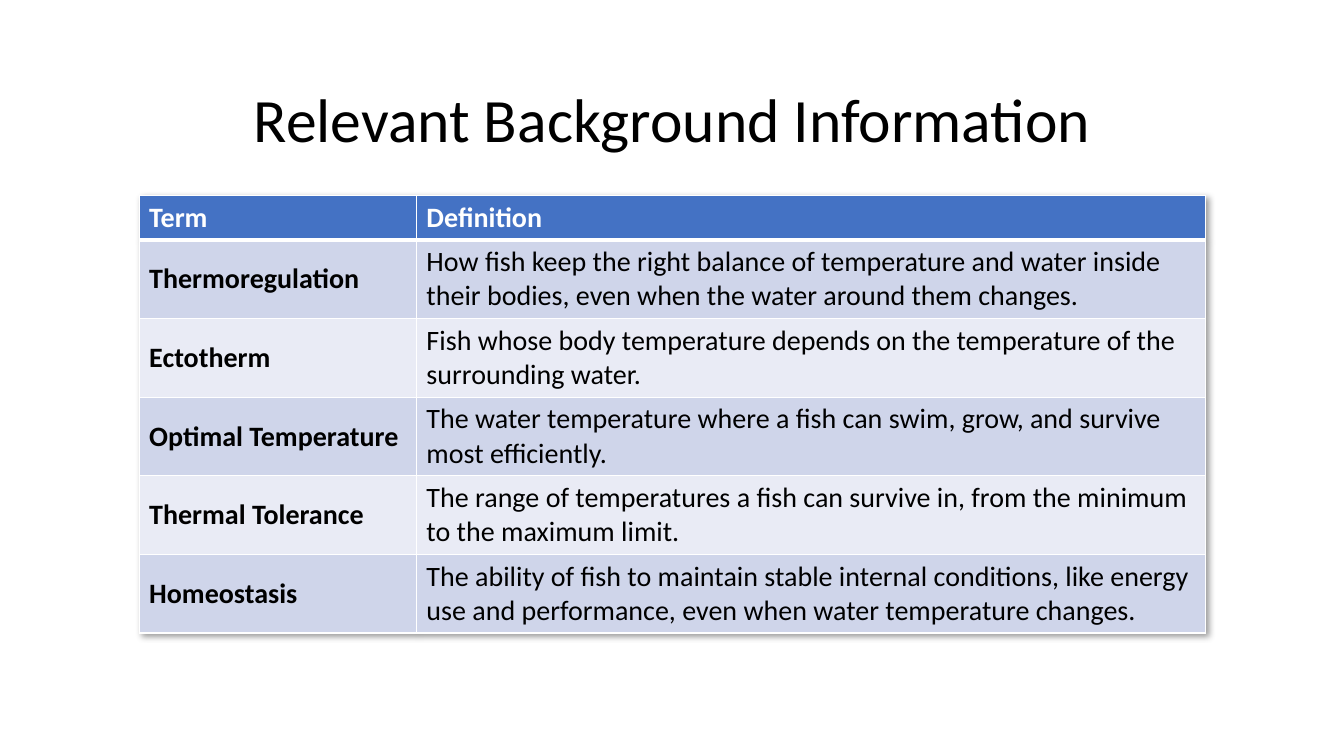
"""Build a slide with a table of terms about fish and temperature."""
from lxml import etree
from pptx import Presentation
from pptx.dml.color import RGBColor
from pptx.enum.text import MSO_ANCHOR, PP_ALIGN
from pptx.oxml.ns import qn
from pptx.util import Inches, Pt

TITLE = "Relevant Background Information"
GLOSSARY = [
    ("Term", "Definition"),
    ("Thermoregulation", "How fish keep the right balance of temperature and water inside "
     "their bodies, even when the water around them changes."),
    ("Ectotherm", "Fish whose body temperature depends on the temperature of the "
     "surrounding water."),
    ("Optimal Temperature", "The water temperature where a fish can swim, grow, and survive "
     "most efficiently."),
    ("Thermal Tolerance", "The range of temperatures a fish can survive in, from the minimum "
     "to the maximum limit."),
    ("Homeostasis", "The ability of fish to maintain stable internal conditions, like energy "
     "use and performance, even when water temperature changes."),
]
COLUMN_WIDTHS = (2.75, 7.83)
HEADER_HEIGHT, ROW_HEIGHT = 0.44, 0.78

FONT = "Calibri"
BLACK = RGBColor(0x00, 0x00, 0x00)
WHITE = RGBColor(0xFF, 0xFF, 0xFF)
HEADER_BLUE = RGBColor(0x44, 0x72, 0xC4)
BANDS = (RGBColor(0xE9, 0xEB, 0xF5), RGBColor(0xCF, 0xD5, 0xEA))
MIDDLE, CENTER, LEFT = MSO_ANCHOR.MIDDLE, PP_ALIGN.CENTER, PP_ALIGN.LEFT


def write(frame, text, size=20, color=BLACK, bold=False, align=LEFT, spacing=None):
    frame.word_wrap = True
    paragraph = frame.paragraphs[0]
    paragraph.alignment = align
    paragraph.line_spacing = spacing
    run = paragraph.add_run()
    run.text = text
    run.font.name, run.font.size, run.font.bold = FONT, Pt(size), bold
    run.font.color.rgb = color


def add_color(parent, color):
    fill = etree.SubElement(parent, qn("a:solidFill"))
    return etree.SubElement(fill, qn("a:srgbClr"), val=str(color))


def add_borders(cell, **widths):
    properties = cell._tc.get_or_add_tcPr()
    for side in "LRTB":
        line = etree.SubElement(properties, qn("a:ln" + side), w=str(Pt(widths.get(side, 1))))
        add_color(line, WHITE)


def add_table_shadow(table):
    effects = etree.Element(qn("a:effectLst"))
    shadow = etree.SubElement(effects, qn("a:outerShdw"), blurRad=str(Pt(4)), dist=str(Pt(3)),
                              dir="2700000", algn="tl", rotWithShape="0")
    black = etree.SubElement(shadow, qn("a:srgbClr"), val=str(BLACK))
    etree.SubElement(black, qn("a:alpha"), val="40000")
    table._tbl.tblPr.insert(0, effects)


def main():
    deck = Presentation()
    deck.slide_width, deck.slide_height = Inches(13.33), Inches(7.5)
    slide = deck.slides.add_slide(deck.slide_layouts[6])

    title = slide.shapes.add_textbox(Inches(0.92), Inches(0.49), Inches(11.5), Inches(1.45))
    title.text_frame.vertical_anchor = MIDDLE
    write(title.text_frame, TITLE, size=44, align=CENTER, spacing=0.9)

    heights = [HEADER_HEIGHT] + [ROW_HEIGHT] * (len(GLOSSARY) - 1)
    table = slide.shapes.add_table(
        len(GLOSSARY), len(COLUMN_WIDTHS), Inches(1.38), Inches(1.94),
        Inches(sum(COLUMN_WIDTHS)), Inches(sum(heights))).table
    add_table_shadow(table)
    for column, width in zip(table.columns, COLUMN_WIDTHS):
        column.width = Inches(width)

    for r, entry in enumerate(GLOSSARY):
        table.rows[r].height = Inches(heights[r])
        is_header = r == 0
        for c, text in enumerate(entry):
            cell = table.cell(r, c)
            add_borders(cell, T=3 if r == 1 else 1, B=3 if is_header else 1)
            cell.fill.solid()
            cell.fill.fore_color.rgb = HEADER_BLUE if is_header else BANDS[r % 2]
            cell.vertical_anchor = MIDDLE
            write(cell.text_frame, text, color=WHITE if is_header else BLACK,
                  bold=is_header or c == 0)

    deck.save("out.pptx")


if __name__ == "__main__":
    main()
